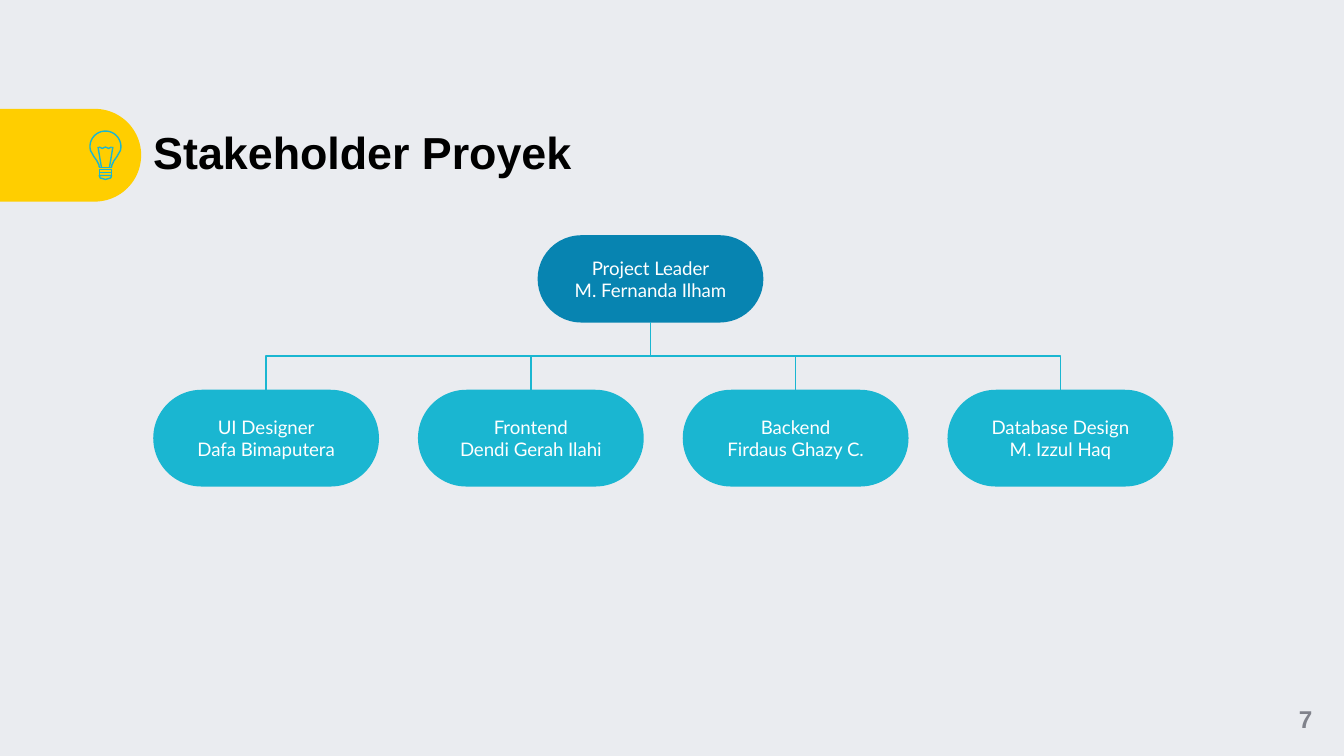
import math

from pptx import Presentation
from pptx import util as u
from pptx.dml.color import RGBColor
from pptx.enum import shapes, text
from pptx.oxml import ns, xmlchemy

COLS, ROWS = 100, 56.25
CYAN, BLUE, YELLOW = "1AB6D1", "0784B1", "FFCE00"
LEADER = ("Project Leader", "M. Fernanda Ilham")
TEAM = [
    ("UI Designer", "Dafa Bimaputera"),
    ("Frontend", "Dendi Gerah Ilahi"),
    ("Backend", "Firdaus Ghazy C."),
    ("Database Design", "M. Izzul Haq"),
]


def grid(*cells):
    """Turn counts of grid cells into lengths."""
    return [u.Inches(n / 10) for n in cells]


def rgb(code):
    """Turn a hex string into a colour."""
    return RGBColor.from_string(code)


def write(sp, lines, font, size, color, bold=False, align=None, inset=0, spacing=None):
    """Fill a shape with one paragraph per line, centred vertically."""
    tf = sp.text_frame
    tf.word_wrap = True
    tf.vertical_anchor = text.MSO_ANCHOR.MIDDLE
    tf.margin_left = tf.margin_right = tf.margin_top = tf.margin_bottom = u.Inches(inset)
    for i, line in enumerate(lines):
        p = tf.add_paragraph() if i else tf.paragraphs[0]
        p.alignment = align
        p.line_spacing = spacing
        r = p.add_run()
        r.text = line
        r.font.name, r.font.size, r.font.bold = font, u.Pt(size), bold
        r.font.color.rgb = rgb(color)


def block(s, kind, box, fill):
    """Add a plain filled preset shape."""
    sp = s.shapes.add_shape(kind, *grid(*box))
    sp.shadow.inherit = False
    sp.fill.solid()
    sp.fill.fore_color.rgb = rgb(fill)
    sp.line.fill.background()
    return sp


def connector(s, kind, *ends):
    """Add a thin cyan connector without a shadow."""
    c = s.shapes.add_connector(kind, *grid(*ends))
    c.line.color.rgb = rgb(CYAN)
    c.line.width = u.Pt(0.75)
    spPr = c._element.spPr
    spPr.append(xmlchemy.OxmlElement("a:effectLst"))
    return spPr


def branch(s, x1, y1, x2, y2):
    """Join two points by an elbow that leaves and arrives vertically."""
    cx, cy = (x1 + x2) / 2, (y1 + y2) / 2
    side = 1 if x2 > x1 else -1
    dx, dy = abs(x2 - x1) / 2, side * (y2 - y1) / 2
    spPr = connector(s, shapes.MSO_CONNECTOR.ELBOW, cx + dy, cy - dx, cx - dy, cy + dx)
    turn = 270 if side > 0 else 90
    spPr.find(ns.qn("a:xfrm")).set("rot", str(turn * 60000))


def bulb(s, x, y, w, h):
    """Draw an outlined light bulb in a box."""
    def outline(points, close=False):
        """Draw one stroke from shares of the box."""
        pts = [tuple(grid(x + px * w, y + py * h)) for px, py in points]
        fb = s.shapes.build_freeform(*pts[0])
        fb.add_line_segments(pts[1:], close=close)
        sp = fb.convert_to_shape()
        sp.shadow.inherit = False
        sp.fill.background()
        sp.line.color.rgb = rgb(CYAN)
        sp.line.width = u.Pt(0.75)

    neck = [(0.7, 0.75), (0.71, 0.7), (0.78, 0.61), (0.87, 0.53), (0.94, 0.45)]
    arc = [math.radians(a) for a in range(-15, 196, 10)]
    dome = [(0.5 + 0.5 * math.cos(a), 0.32 - 0.32 * math.sin(a)) for a in arc]
    outline(neck + dome + [(1 - px, py) for px, py in reversed(neck)])
    for top in (0.8, 0.86):
        outline([(0.3, top), (0.7, top), (0.7, top + 0.06), (0.3, top + 0.06)], True)
    outline([(0.3, 0.92), (0.33, 0.97), (0.5, 1), (0.67, 0.97), (0.7, 0.92)], True)
    filament = [(0.26, 0.33), (0.31, 0.53), (0.37, 0.75)]
    outline(filament)
    outline([(1 - px, py) for px, py in filament])
    outline([(0.3, 0.33), (0.4, 0.36), (0.5, 0.33), (0.6, 0.36), (0.7, 0.33)])
    base = y + 0.75 * h
    connector(s, shapes.MSO_CONNECTOR.STRAIGHT, x + 0.3 * w, base, x + 0.7 * w, base)


def header(s, x, y, w, h, title):
    """Place the tab, its bulb and the title in a band."""
    tab = 10.5
    box = (x + (tab - h) / 2, y + (h - tab) / 2, h, tab)
    sp = block(s, shapes.MSO_SHAPE.ROUND_2_SAME_RECTANGLE, box, YELLOW)
    sp.adjustments[0] = 0.5
    sp.rotation = 90
    bulb(s, x + 6.7, y + 1.65, 2.3, 3.6)
    left = x + 11.4
    sp = s.shapes.add_textbox(*grid(left, y, w - left, h))
    write(sp, [title], "Arial", 24, "000000", bold=True, spacing=0.9)


def role(s, box, lines, fill):
    """Add one pill with a role and a name."""
    sp = block(s, shapes.MSO_SHAPE.ROUNDED_RECTANGLE, box, fill)
    sp.adjustments[0] = 0.5
    write(sp, lines, "Lato", 10, "FFFFFF", align=text.PP_ALIGN.CENTER, inset=0.1)


def org_chart(s, x, y, w, h):
    """Place the leader above an even row of team members."""
    pill, lead_h, team_h = 16.8, 6.5, 7.2
    lead_x, team_y = x + 28.6, y + h - team_h
    step = (w - pill) / (len(TEAM) - 1)
    role(s, (lead_x, y, pill, lead_h), LEADER, BLUE)
    for i, lines in enumerate(TEAM):
        left = x + i * step
        branch(s, lead_x + pill / 2, y + lead_h, left + pill / 2, team_y)
        role(s, (left, team_y, pill, team_h), lines, CYAN)


def page_number(s, x, y, w, h, number):
    """Place the page number in a box."""
    sp = s.shapes.add_textbox(*grid(x, y, w, h))
    write(sp, [number], "Arial", 13, "80828B", bold=True, align=text.PP_ALIGN.CENTER)


def main():
    """Build and save the slide."""
    prs = Presentation()
    prs.slide_width, prs.slide_height = grid(COLS, ROWS)
    s = prs.slides.add_slide(prs.slide_layouts[6])
    s.background.fill.solid()
    s.background.fill.fore_color.rgb = rgb("EAECF0")
    header(s, 0, 8.1, 90.2, 6.9, "Stakeholder Proyek")
    org_chart(s, 11.4, 17.5, 75.9, 18.7)
    page_number(s, COLS - 5.7, ROWS - 5.6, 5.7, 5.6, "7")
    prs.save("out.pptx")


if __name__ == "__main__":
    main()
